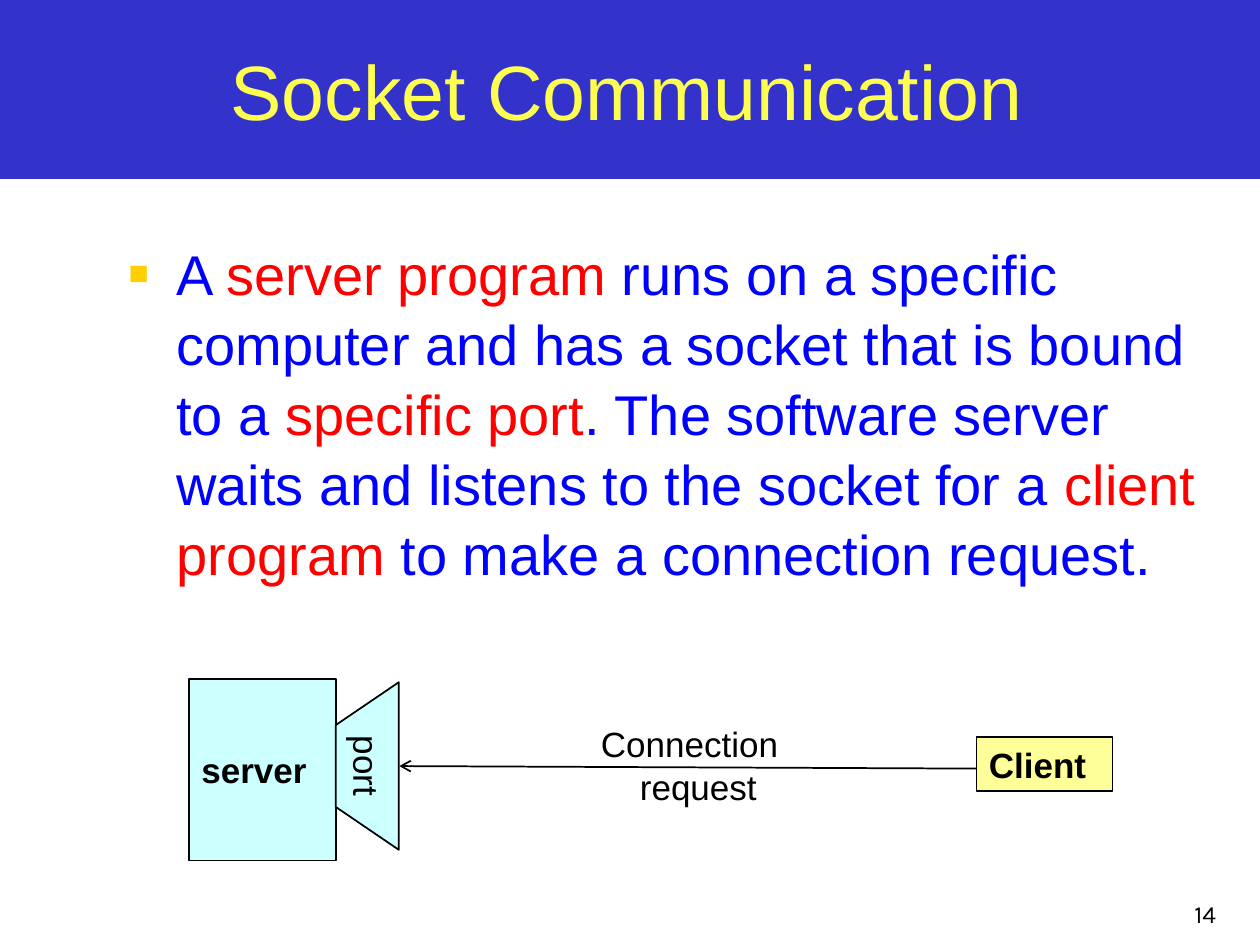
"""Build the Socket Communication slide."""
import pptx
import pptx.dml.color
import pptx.enum.shapes
import pptx.enum.text
import pptx.oxml
import pptx.oxml.ns
import pptx.util
from pptx.util import Inches

BLACK, BLUE, RED, CYAN = "000000", "0000FF", "FF0000", "CCFFFF"
TITLE = "Socket Communication"
BODY = [
    ("A ", BLUE),
    ("server program", RED),
    (" runs on a specific computer and has a socket that is bound to a ", BLUE),
    ("specific port", RED),
    (". The software server waits and listens to the socket for a ", BLUE),
    ("client program ", RED),
    ("to make a connection request.", BLUE),
]
BOXES = [
    ("server", (1.5, 5.39, 1.17, 1.44), CYAN),
    ("Client", (7.75, 5.85, 1.08, 0.43), "FFFF99"),
]
PORT_OUTLINE = [(2.25, 5.83), (3.58, 5.83), (3.24, 6.33), (2.59, 6.33)]
REQUEST_ENDS = (7.75, 6.1), (3.17, 6.08)

ALIGN = pptx.enum.text.PP_ALIGN
ANCHOR = pptx.enum.text.MSO_ANCHOR


def color(value):
    return pptx.dml.color.RGBColor.from_string(value)


def inches(values):
    return [Inches(value) for value in values]


def place(shape, box):
    shape.left, shape.top, shape.width, shape.height = inches(box)


def add_xml(parent, tag, inner="", **attributes):
    values = "".join(f' {name}="{value}"' for name, value in attributes.items())
    namespace = pptx.oxml.ns.nsdecls("a")
    parent.append(pptx.oxml.parse_xml(f"<a:{tag} {namespace}{values}>{inner}</a:{tag}>"))


def write(shape, runs, size, align=ALIGN.LEFT, anchor=ANCHOR.TOP, font="Arial", bold=False, wrap=True):
    frame = shape.text_frame
    frame.word_wrap = wrap
    frame.auto_size = pptx.enum.text.MSO_AUTO_SIZE.NONE
    frame.vertical_anchor = anchor
    paragraph = frame.paragraphs[0]
    paragraph.alignment = align
    for text, value in runs:
        run = paragraph.add_run()
        run.text = text
        run.font.name = font
        run.font.size = pptx.util.Pt(size)
        run.font.bold = bold
        run.font.color.rgb = color(value)
    return paragraph


def hang(paragraph, indent, space_before):
    properties = paragraph._p.get_or_add_pPr()
    properties.set("marL", str(Inches(indent)))
    properties.set("indent", str(-Inches(indent)))
    paragraph.line_spacing = 1.04
    paragraph.space_before = pptx.util.Pt(space_before)
    return properties


def paint(shape, fill, line=None):
    shape.shadow.inherit = False
    shape.fill.solid()
    shape.fill.fore_color.rgb = color(fill)
    if line:
        shape.line.color.rgb = color(line)
        shape.line.width = pptx.util.Pt(1)
    else:
        shape.line.fill.background()


def add_header_and_body(slide):
    rectangle = pptx.enum.shapes.MSO_SHAPE.RECTANGLE
    band = slide.shapes.add_shape(rectangle, *inches((0, 0, 10, 1.42)))
    paint(band, "3333CC")
    slide.shapes._spTree.insert(2, band._element)

    title, body = slide.placeholders
    place(title, (0.17, 0.17, 9.61, 1.08))
    write(title, [(TITLE, "FEFE50")], 44, ALIGN.CENTER, ANCHOR.MIDDLE)
    place(body, (0.92, 1.83, 8.83, 4.87))
    properties = hang(write(body, BODY, 32), 0.38, 6.4)
    add_xml(properties, "buClr", '<a:srgbClr val="FFCF01"/>')
    add_xml(properties, "buSzPct", val=60000)
    add_xml(properties, "buFont", typeface="Arial")
    add_xml(properties, "buChar", char="■")

    number = slide.shapes.add_textbox(*inches((7.67, 6.92, 2.08, 0.5)))
    write(number, [("14", BLACK)], 14, ALIGN.RIGHT, ANCHOR.BOTTOM, "Karla")


def add_diagram(slide):
    shapes = slide.shapes
    for text, box, fill in BOXES:
        shape = shapes.add_shape(pptx.enum.shapes.MSO_SHAPE.RECTANGLE, *inches(box))
        paint(shape, fill, BLACK)
        write(shape, [(text, BLACK)], 20, anchor=ANCHOR.MIDDLE, bold=True)

    start, end = REQUEST_ENDS
    straight = pptx.enum.shapes.MSO_CONNECTOR.STRAIGHT
    arrow = shapes.add_connector(straight, *inches(start + end))
    arrow.line.color.rgb = color(BLACK)
    arrow.line.width = pptx.util.Pt(1)
    add_xml(arrow.line._get_or_add_ln(), "tailEnd", type="arrow")
    add_xml(arrow._element.spPr, "effectLst")

    label = shapes.add_textbox(*inches((4.67, 5.67, 2.61, 0.43)))
    label.text_frame.margin_right = Inches(0.4)
    hang(write(label, [("Connection request", BLACK)], 20), 0.31, 4)

    first, *others = [inches(point) for point in PORT_OUTLINE]
    builder = shapes.build_freeform(*first)
    builder.add_line_segments(others, close=True)
    port = builder.convert_to_shape()
    port.rotation = 90
    paint(port, CYAN, BLACK)
    write(port, [("port", BLACK)], 20, ALIGN.CENTER, ANCHOR.MIDDLE, wrap=False)


def main():
    presentation = pptx.Presentation()
    presentation.slide_width, presentation.slide_height = inches((10, 7.5))
    slide = presentation.slides.add_slide(presentation.slide_layouts[1])
    add_header_and_body(slide)
    add_diagram(slide)
    presentation.save("out.pptx")


if __name__ == "__main__":
    main()
